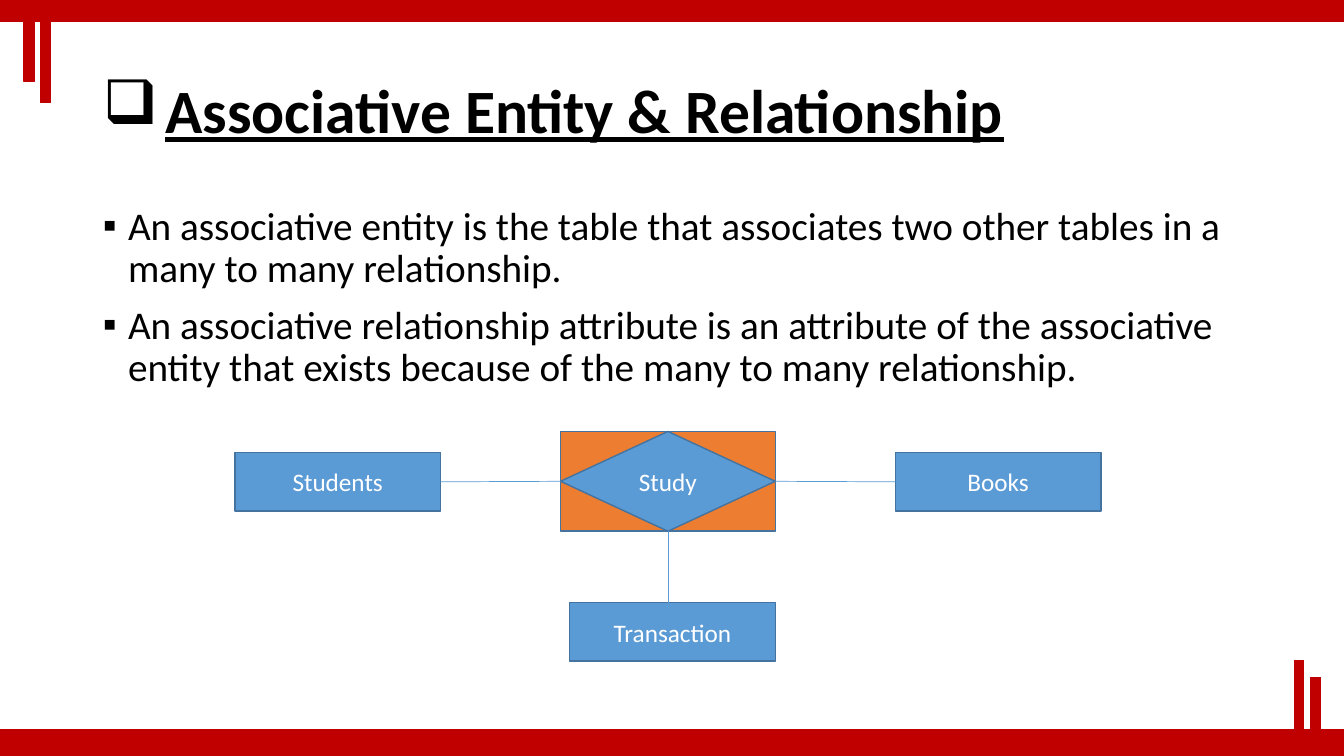
from dataclasses import dataclass

from lxml.etree import SubElement
from pptx import Presentation
from pptx.dml.color import RGBColor
from pptx.enum.shapes import MSO_CONNECTOR, MSO_SHAPE
from pptx.enum.text import MSO_ANCHOR, MSO_AUTO_SIZE, PP_ALIGN
from pptx.oxml.ns import qn
from pptx.shapes.autoshape import Shape
from pptx.shapes.connector import Connector
from pptx.text.text import TextFrame
from pptx.util import Inches, Pt

RED = RGBColor(0xC0, 0x00, 0x00)
BLUE = RGBColor(0x5B, 0x9B, 0xD5)
DARK_BLUE = RGBColor(0x43, 0x73, 0x9E)
ORANGE = RGBColor(0xED, 0x7D, 0x31)
BLACK = RGBColor(0x00, 0x00, 0x00)
WHITE = RGBColor(0xFF, 0xFF, 0xFF)
FONT = "Calibri"
TOP, LEFT, BOTTOM, RIGHT = range(4)


@dataclass(frozen=True)
class Box:
    left: float
    top: float
    width: float
    height: float

    def lengths(self) -> tuple[int, ...]:
        return tuple(Inches(v) for v in (self.left, self.top, self.width, self.height))


@dataclass(frozen=True)
class Entity:
    name: str
    left: float
    top: float


BARS = [
    Box(0, 7.24, 13.33, 0.26),
    Box(0, 0, 13.33, 0.21),
    Box(0.4, 0.01, 0.1, 1.01),
    Box(0.24, 0.03, 0.1, 0.78),
    Box(12.84, 6.55, 0.09, 0.94),
    Box(13, 6.72, 0.1, 0.78),
]
TITLE_BOX = Box(0.92, 0.4, 11.5, 1.45)
BODY_BOX = Box(0.92, 2, 11.5, 4.76)
STUDY_BOX = Box(5.56, 4.28, 2.13, 0.99)
ENTITY_SIZE = (2.04, 0.58)
ENTITIES = [
    Entity("Students", 2.33, 4.49),
    Entity("Books", 8.88, 4.49),
    Entity("Transaction", 5.65, 5.98),
]
POINTS = [
    "An associative entity is the table that associates two other tables in a "
    "many to many relationship.",
    "An associative relationship attribute is an attribute of the associative "
    "entity that exists because of the many to many relationship.",
]


def write(tf: TextFrame, lines: list[str], *, size: float, color: RGBColor,
          bold: bool = False, underline: bool = False,
          align: PP_ALIGN = PP_ALIGN.LEFT, anchor: MSO_ANCHOR = MSO_ANCHOR.TOP,
          bullet: str = "", indent: float = 0, before: float = 0,
          spacing: float = 1) -> None:
    """Fill a text frame with one paragraph per line."""
    tf.word_wrap = True
    tf.auto_size = MSO_AUTO_SIZE.NONE
    tf.vertical_anchor = anchor
    for i, line in enumerate(lines):
        p = tf.add_paragraph() if i else tf.paragraphs[0]
        p.alignment = align
        p.line_spacing = spacing
        p.space_before = Pt(before)
        if bullet:
            pPr = p._p.get_or_add_pPr()
            pPr.set("marL", str(Inches(indent)))
            pPr.set("indent", str(-Inches(indent)))
            SubElement(pPr, qn("a:buChar")).set("char", bullet)
        r = p.add_run()
        r.text = line
        r.font.name = FONT
        r.font.size = Pt(size)
        r.font.bold = bold
        r.font.underline = underline
        r.font.color.rgb = color


def add_box(shapes, box: Box, fill: RGBColor, line: RGBColor, label: str = "",
            kind: MSO_SHAPE = MSO_SHAPE.RECTANGLE) -> Shape:
    sp = shapes.add_shape(kind, *box.lengths())
    sp.shadow.inherit = False
    sp.fill.solid()
    sp.fill.fore_color.rgb = fill
    sp.line.color.rgb = line
    sp.line.width = Pt(1)
    if label:
        write(sp.text_frame, [label], size=18, color=WHITE,
              align=PP_ALIGN.CENTER, anchor=MSO_ANCHOR.MIDDLE)
    return sp


def add_link(shapes, start: Shape, side: int, x: float, y: float) -> Connector:
    """Draw a thin line from the middle of a side to a point."""
    link = shapes.add_connector(MSO_CONNECTOR.STRAIGHT, 0, 0, Inches(x), Inches(y))
    link.begin_connect(start, side)
    link.line.color.rgb = BLUE
    link.line.width = Pt(0.5)
    SubElement(link._element.spPr, qn("a:effectLst"))
    return link


def place(sp: Shape, box: Box) -> None:
    sp.left, sp.top, sp.width, sp.height = box.lengths()


def main() -> None:
    prs = Presentation()
    prs.slide_width, prs.slide_height = Inches(13.33), Inches(7.5)
    s = prs.slides.add_slide(prs.slide_layouts[1])

    # Red frame
    for bar in BARS:
        add_box(s.shapes, bar, RED, RED)

    # Title and bullet list
    title, body = s.placeholders
    place(title, TITLE_BOX)
    write(title.text_frame, ["Associative Entity & Relationship"], size=44,
          color=BLACK, bold=True, underline=True, anchor=MSO_ANCHOR.MIDDLE,
          bullet="❑", indent=0.62, spacing=0.9)
    place(body, BODY_BOX)
    write(body.text_frame, POINTS, size=28, color=BLACK, bullet="▪",
          indent=0.25, before=10, spacing=0.9)

    # Entities and the associative entity
    students, books, _ = [
        add_box(s.shapes, Box(e.left, e.top, *ENTITY_SIZE), BLUE, DARK_BLUE, e.name)
        for e in ENTITIES
    ]
    group = s.shapes.add_group_shape()
    add_box(group.shapes, STUDY_BOX, ORANGE, DARK_BLUE)
    study = add_box(group.shapes, STUDY_BOX, BLUE, DARK_BLUE, "Study", MSO_SHAPE.DIAMOND)

    # Relationship lines; the one to Transaction drops straight down
    middle_x = STUDY_BOX.left + STUDY_BOX.width / 2
    add_link(s.shapes, students, RIGHT, 0, 0).end_connect(study, LEFT)
    add_link(s.shapes, study, RIGHT, 0, 0).end_connect(books, LEFT)
    add_link(s.shapes, study, BOTTOM, middle_x, ENTITIES[2].top)

    prs.save("out.pptx")


if __name__ == "__main__":
    main()
